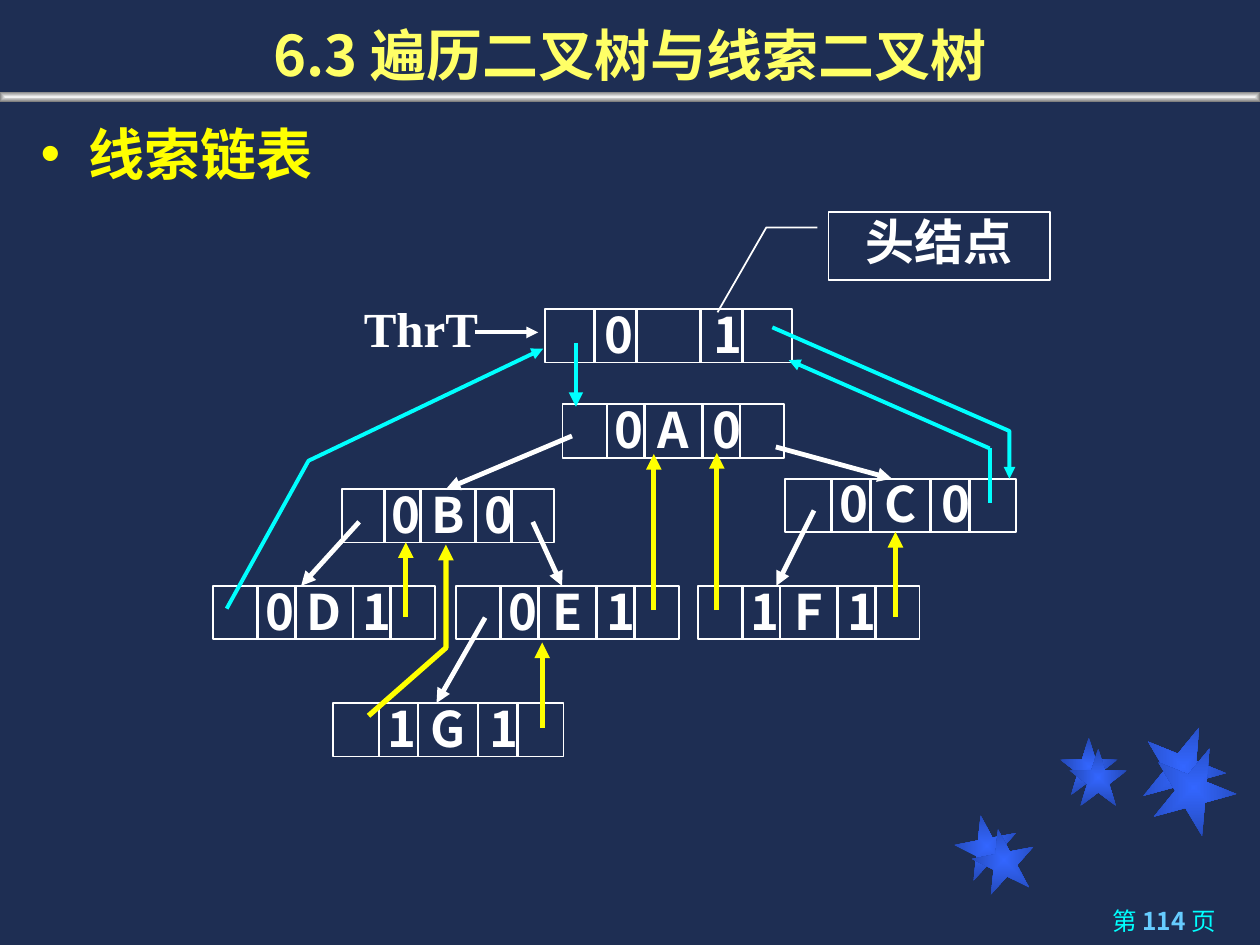
import pptx
import pptx.dml.color
import pptx.enum.dml
import pptx.enum.shapes
import pptx.enum.text
import pptx.oxml
import pptx.oxml.ns
import pptx.util
from lxml import etree

Cm = pptx.util.Cm
Pt = pptx.util.Pt
qn = pptx.oxml.ns.qn
SHAPE = pptx.enum.shapes.MSO_SHAPE
ALIGN = pptx.enum.text.PP_ALIGN
ANCHOR = pptx.enum.text.MSO_ANCHOR

COLOURS = {
    "background": "1E2E53",
    "title": "FFFF66",
    "yellow": "FFFF00",
    "cyan": "00FFFF",
    "page": "66CCFF",
    "white": "FFFFFF",
    "star_centre": "3366FF",
    "star_edge": "2449B6",
    "bar_centre": "F2F2F2",
    "bar_edge": "808080",
}
COLOURS = {name: pptx.dml.color.RGBColor.from_string(value) for name, value in COLOURS.items()}
SANS = "Noto Sans CJK SC"


def write_text(shape, pieces, size, alignment, latin=SANS, frame_format=None):
    frame = shape.text_frame
    for name, value in {"word_wrap": True, **(frame_format or {})}.items():
        setattr(frame, name, value)
    paragraph = frame.paragraphs[0]
    paragraph.alignment = alignment
    for text, colour, bold in pieces:
        run = paragraph.add_run()
        run.text = text
        for name, value in {"size": Pt(size), "bold": bold, "name": latin}.items():
            setattr(run.font, name, value)
        run.font.color.rgb = COLOURS[colour]
        etree.SubElement(run._r.get_or_add_rPr(), qn("a:ea"), typeface=SANS)
    return paragraph


def style_line(shape, colour, width, arrow=False):
    shape.line.color.rgb = COLOURS[colour]
    shape.line.width = Pt(width)
    if arrow:
        etree.SubElement(shape.line._get_or_add_ln(), qn("a:tailEnd"), type="triangle")
    etree.SubElement(shape._element.spPr, qn("a:effectLst"))


presentation = pptx.Presentation()
presentation.slide_width = Cm(25.4)
presentation.slide_height = Cm(19.05)
slide = presentation.slides.add_slide(presentation.slide_layouts[6])
slide.background.fill.solid()
slide.background.fill.fore_color.rgb = COLOURS["background"]
shapes = slide.shapes

decorations = [
    (SHAPE.STAR_5_POINT, 19.26, 16.43, 1.26, 1.26, 349, "star"),
    (SHAPE.STAR_5_POINT, 21.37, 14.87, 1.16, 1.16, 0, "star"),
    (SHAPE.STAR_5_POINT, 23.01, 14.61, 1.69, 1.69, 22, "star"),
    (SHAPE.STAR_5_POINT, 19.61, 16.71, 1.26, 1.26, 349, "star"),
    (SHAPE.STAR_5_POINT, 21.56, 15.09, 1.16, 1.16, 0, "star"),
    (SHAPE.STAR_5_POINT, 23.22, 15.03, 1.69, 1.69, 22, "star"),
    (SHAPE.RECTANGLE, 0, 1.85, 25.4, 0.2, 0, "bar"),
]
for kind, left, top, width, height, rotation, palette in decorations:
    shape = shapes.add_shape(kind, Cm(left), Cm(top), Cm(width), Cm(height))
    shape.rotation = rotation
    shape.shadow.inherit = False
    shape.line.fill.background()
    shape.fill.gradient()
    for stop, place in zip(shape.fill.gradient_stops, ("centre", "edge")):
        stop.color.rgb = COLOURS[f"{palette}_{place}"]
    linear = shape._element.spPr.find(".//" + qn("a:lin"))
    gradient_path = etree.Element(qn("a:path"), path="shape")
    etree.SubElement(gradient_path, qn("a:fillToRect"), l="50000", t="50000", r="50000", b="50000")
    linear.getparent().replace(linear, gradient_path)

page_box = shapes.add_textbox(Cm(18.08), Cm(18.14), Cm(6.68), Cm(0.91))
write_text(page_box, [("第 ", "cyan", False), ("114 ", "page", True), ("页", "cyan", False)], 14, ALIGN.RIGHT)

title_box = shapes.add_textbox(Cm(0), Cm(0), Cm(25.4), Cm(1.9))
write_text(title_box, [("6.3 遍历二叉树与线索二叉树", "title", True)], 32, ALIGN.CENTER,
           frame_format={"vertical_anchor": ANCHOR.BOTTOM})

heading_box = shapes.add_textbox(Cm(0.57), Cm(2.14), Cm(24.13), Cm(2.26))
heading = write_text(heading_box, [("线索链表", "yellow", True)], 32, ALIGN.LEFT, "Arial")
heading.line_spacing = 1.1
properties = heading._p.get_or_add_pPr()
properties.set("marL", str(Cm(0.96)))
properties.set("indent", str(Cm(-0.96)))
bullet_colour = etree.SubElement(properties, qn("a:buClr"))
etree.SubElement(bullet_colour, qn("a:srgbClr"), val=str(COLOURS["yellow"]))
etree.SubElement(properties, qn("a:buFont"), typeface="Arial")
etree.SubElement(properties, qn("a:buChar"), char="•")

callout = shapes.add_shape(SHAPE.LINE_CALLOUT_2, Cm(16.7), Cm(4.27), Cm(4.47), Cm(1.37))
for index, value in enumerate([0.23, -0.05, 0.23, -0.28, 1.48, -0.5]):
    callout.adjustments[index] = value
callout.fill.background()
style_line(callout, "white", 1)
margins = {f"margin_{side}": 0 for side in ("left", "right", "top", "bottom")}
write_text(callout, [("头结点", "white", True)], 28, ALIGN.CENTER,
           frame_format={**margins, "vertical_anchor": ANCHOR.TOP})

pointer_box = shapes.add_textbox(Cm(6.96), Cm(5.89), Cm(3.05), Cm(1.45))
write_text(pointer_box, [("ThrT", "white", True)], 28, ALIGN.CENTER, "Times New Roman", {"word_wrap": False})

node_height = 1.08
divider_places = (0.2, 0.37, 0.63, 0.8)
label_places = (0.5, 0.3, 0.74)
label_width = 0.36
nodes = [
    (10.99, 6.23, 4.98, ("", "0", "1")),
    (6.71, 14.17, 4.65, ("G", "1", "1")),
    (14.07, 11.81, 4.47, ("F", "1", "1")),
    (9.19, 11.81, 4.5, ("E", "0", "1")),
    (4.3, 11.81, 4.47, ("D", "0", "1")),
    (11.34, 8.15, 4.47, ("A", "0", "0")),
    (6.9, 9.86, 4.27, ("B", "0", "0")),
    (15.83, 9.65, 4.65, ("C", "0", "0")),
]
for left, top, width, labels in nodes:
    node = shapes.add_shape(SHAPE.RECTANGLE, Cm(left), Cm(top), Cm(width), Cm(node_height))
    node.fill.background()
    style_line(node, "white", 1)
    for place in divider_places:
        x = Cm(left + place * width)
        divider = shapes.add_connector(pptx.enum.shapes.MSO_CONNECTOR.STRAIGHT, x, Cm(top), x, Cm(top + node_height))
        style_line(divider, "white", 1.5)
    for place, label in zip(label_places, labels):
        if label:
            label_left = left + (place - label_width / 2) * width
            label_box = shapes.add_textbox(Cm(label_left), Cm(top - 0.22), Cm(label_width * width), Cm(1.45))
            write_text(label_box, [(label, "white", True)], 28, ALIGN.CENTER)

links = [
    ("white", 2.25, True, [(9.58, 6.7), (10.85, 6.7)]),
    ("cyan", 2.25, True, [(15.57, 6.6), (20.35, 8.69), (20.35, 9.65)]),
    ("cyan", 2.25, True, [(4.57, 12.27), (6.22, 9.29), (10.95, 7.03)]),
    ("cyan", 2.75, True, [(11.61, 6.91), (11.61, 8.2)]),
    ("cyan", 2.25, True, [(19.95, 9.04), (15.9, 7.26)]),
    ("cyan", 2.25, False, [(19.95, 9.04), (19.95, 10.13)]),
    ("white", 2.75, True, [(11.53, 8.79), (8.99, 9.86)]),
    ("white", 2.75, True, [(15.64, 9.01), (17.98, 9.65)]),
    ("white", 2.75, True, [(7.24, 10.52), (6.07, 11.81)]),
    ("white", 2.75, True, [(10.74, 10.52), (11.33, 11.81)]),
    ("white", 2.75, True, [(16.41, 10.29), (15.65, 11.81)]),
    ("white", 2.75, True, [(9.78, 12.45), (8.8, 14.17)]),
    ("yellow", 3, True, [(7.43, 14.43), (8.99, 13.06), (8.99, 10.98)]),
    ("yellow", 3, True, [(10.93, 14.68), (10.93, 12.95)]),
    ("yellow", 3, True, [(8.18, 12.43), (8.18, 10.93)]),
    ("yellow", 3, True, [(18.05, 12.43), (18.05, 10.72)]),
    ("yellow", 3, True, [(14.45, 12.3), (14.45, 9.13)]),
    ("yellow", 3, True, [(13.18, 12.3), (13.18, 9.15)]),
]
for colour, width, arrow, places in links:
    points = [(Cm(x), Cm(y)) for x, y in places]
    if len(points) == 2:
        link = shapes.add_connector(pptx.enum.shapes.MSO_CONNECTOR.STRAIGHT, *points[0], *points[1])
    else:
        builder = shapes.build_freeform(*points[0])
        builder.add_line_segments(points[1:], close=False)
        link = builder.convert_to_shape()
        link.fill.background()
    style_line(link, colour, width, arrow)

presentation.save("out.pptx")
